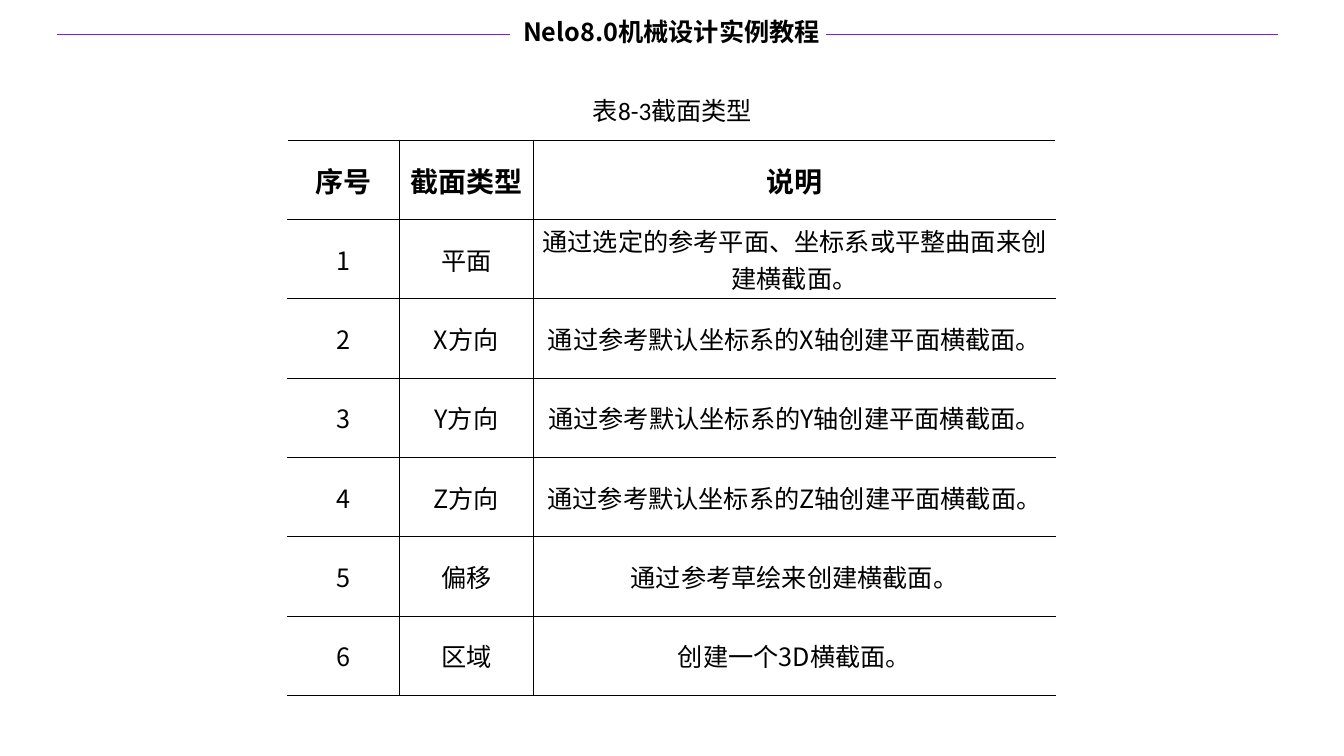
"""Build the slide listing the cross-section types."""
from dataclasses import dataclass

from lxml import etree
from pptx import Presentation
from pptx import util as u
from pptx.dml.color import RGBColor
from pptx.enum import shapes, text
from pptx.oxml import ns

BLACK = RGBColor(0, 0, 0)
PURPLE = RGBColor(0x70, 0x30, 0xA0)
NOTO = "Noto Sans CJK SC"
CALIBRI = "Calibri"
COLUMN_WIDTHS = (1.11, 1.33, 5.18)
COLUMN_BORDERS = (("R", "T", "B"), ("L", "R", "T", "B"), ("L", "T", "B"))
ROW_HEIGHT = 5.51 / 7
HEADINGS = ("序号", "截面类型", "说明")


@dataclass
class Label:
    """A text box with its place and style."""
    wording: str
    left: float
    top: float
    width: float
    font: str
    bold: bool = False
    alignment: text.PP_ALIGN = text.PP_ALIGN.LEFT
    line_spacing: float = 1.0


@dataclass
class Section:
    """A cross-section type and its explanation."""
    name: str
    explanation: str


LABELS = (
    Label("Nelo8.0机械设计实例教程", 5.09, 0.16, 3.16, NOTO, bold=True, line_spacing=0.85),
    Label("表8-3截面类型", 4.67, 0.9, 4, CALIBRI, alignment=text.PP_ALIGN.CENTER),
)
SECTIONS = (
    Section("平面", "通过选定的参考平面、坐标系或平整曲面来创建横截面。"),
    *(Section(f"{axis}方向", f"通过参考默认坐标系的{axis}轴创建平面横截面。") for axis in "XYZ"),
    Section("偏移", "通过参考草绘来创建横截面。"),
    Section("区域", "创建一个3D横截面。"),
)


def style_paragraph(paragraph, wording: str, font: str, size: int, bold: bool) -> None:
    """Write the wording and set its Latin and East Asian fonts."""
    run = paragraph.add_run()
    run.text = wording
    paragraph.font.size = u.Pt(size)
    paragraph.font.bold = bold
    paragraph.font.color.rgb = BLACK
    paragraph.font.name = font
    properties = run.font._element
    etree.SubElement(properties, ns.qn("a:latin"), typeface=font)
    etree.SubElement(properties, ns.qn("a:ea"), typeface=font)


def add_rule(slide, left: float, right: float) -> None:
    """Draw a purple line beside the title."""
    y = u.Inches(0.34)
    rule = slide.shapes.add_connector(
        shapes.MSO_CONNECTOR.STRAIGHT, u.Inches(left), y, u.Inches(right), y)
    rule.line.color.rgb = PURPLE
    rule.line.width = u.Pt(1)
    etree.SubElement(rule._element.spPr, ns.qn("a:effectLst"))


def add_label(slide, label: Label) -> None:
    """Draw a text box."""
    box = slide.shapes.add_textbox(
        u.Inches(label.left), u.Inches(label.top), u.Inches(label.width), u.Inches(0.4))
    frame = box.text_frame
    frame.word_wrap = True
    frame.auto_size = text.MSO_AUTO_SIZE.SHAPE_TO_FIT_TEXT
    paragraph = frame.paragraphs[0]
    paragraph.alignment = label.alignment
    paragraph.line_spacing = label.line_spacing
    style_paragraph(paragraph, label.wording, label.font, 18, label.bold)


def add_borders(cell, sides: tuple[str, ...]) -> None:
    """Draw black lines on the given sides of a cell."""
    properties = cell._tc.get_or_add_tcPr()
    for position, side in enumerate(sides):
        line = etree.Element(ns.qn(f"a:ln{side}"), w=str(u.Pt(1)))
        fill = etree.SubElement(line, ns.qn("a:solidFill"))
        etree.SubElement(fill, ns.qn("a:srgbClr"), val=str(BLACK))
        properties.insert(position, line)


def fill_cell(cell, wording: str, sides: tuple[str, ...], heading: bool) -> None:
    """Write and format one table cell."""
    cell.fill.background()
    cell.vertical_anchor = text.MSO_ANCHOR.MIDDLE
    cell.margin_left = cell.margin_right = u.Inches(0.07)
    cell.margin_top = cell.margin_bottom = 0
    paragraph = cell.text_frame.paragraphs[0]
    paragraph.alignment = text.PP_ALIGN.CENTER
    style_paragraph(paragraph, wording, NOTO, 20 if heading else 18, heading)
    add_borders(cell, sides)


def add_section_table(slide) -> None:
    """Draw the table of cross-section types."""
    rows = [HEADINGS] + [
        (str(number), section.name, section.explanation)
        for number, section in enumerate(SECTIONS, 1)]
    table = slide.shapes.add_table(
        len(rows), len(HEADINGS), u.Inches(2.85), u.Inches(1.39),
        u.Inches(sum(COLUMN_WIDTHS)), u.Inches(ROW_HEIGHT * len(rows))).table
    table.horz_banding = False
    for column, width in zip(table.columns, COLUMN_WIDTHS):
        column.width = u.Inches(width)
    for row_index, row in enumerate(rows):
        for column_index, wording in enumerate(row):
            fill_cell(table.cell(row_index, column_index), wording,
                      COLUMN_BORDERS[column_index], row_index == 0)


def main() -> None:
    """Build and save the presentation."""
    presentation = Presentation()
    presentation.slide_width = u.Inches(13.33)
    presentation.slide_height = u.Inches(7.5)
    slide = presentation.slides.add_slide(presentation.slide_layouts[6])
    for left, right in ((0.57, 5.06), (8.19, 12.68)):
        add_rule(slide, left, right)
    for label in LABELS:
        add_label(slide, label)
    add_section_table(slide)
    presentation.save("out.pptx")


if __name__ == "__main__":
    main()
